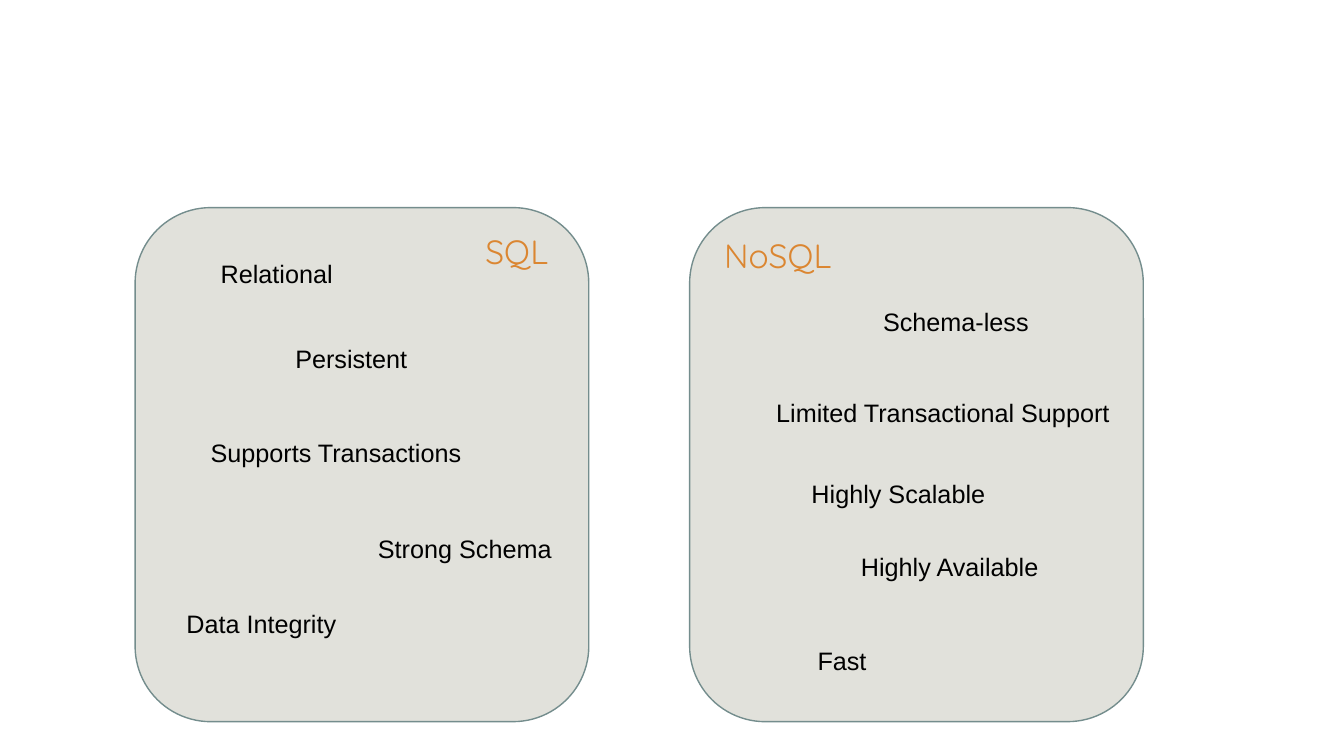
from pptx import Presentation
from pptx.dml.color import RGBColor
from pptx.enum.shapes import MSO_SHAPE
from pptx.enum.text import MSO_AUTO_SIZE, PP_ALIGN
from pptx.util import Pt

PX = 9144
COLORS = {"panel": "E1E1DB", "border": "748D8D", "heading": "DB8631", "text": "000000"}

PANEL_TOP, PANEL_W, PANEL_H = 206, 450, 510
HEADING_W, HEADING_H, ITEM_H = 205, 50, 40

PANELS = [
    (134, ("SQL", 276, 18), [
        ("Relational", 75, 45, 185),
        ("Persistent", 149, 130, 191),
        ("Supports Transactions", 65, 223, 293),
        ("Strong Schema", 231, 318, 204),
        ("Data Integrity", 41, 393, 290),
    ]),
    (684, ("NoSQL", -15, 22), [
        ("Schema-less", 182, 93, 170),
        ("Limited Transactional Support", 76, 183, 360),
        ("Highly Scalable", 111, 264, 289),
        ("Highly Available", 160, 336, 231),
        ("Fast", 117, 429, 349),
    ]),
]


def px(*lengths):
    return [n * PX for n in lengths]


def rgb(name):
    return RGBColor.from_string(COLORS[name])


def add_text(s, text, box, size=18, font="Arial", color="text", align=PP_ALIGN.LEFT):
    tf = s.shapes.add_textbox(*px(*box)).text_frame
    tf.word_wrap = True
    tf.auto_size = MSO_AUTO_SIZE.SHAPE_TO_FIT_TEXT
    p = tf.paragraphs[0]
    p.alignment = align
    r = p.add_run()
    r.text = text
    r.font.size = Pt(size)
    r.font.name = font
    r.font.color.rgb = rgb(color)


def add_panel(s, box, heading, items):
    x, y, w, h = box
    sp = s.shapes.add_shape(MSO_SHAPE.ROUNDED_RECTANGLE, *px(x, y, w, h))
    sp.shadow.inherit = False
    sp.fill.solid()
    sp.fill.fore_color.rgb = rgb("panel")
    sp.line.color.rgb = rgb("border")
    sp.line.width = Pt(1)
    title, dx, dy = heading
    add_text(s, title, (x + dx, y + dy, HEADING_W, HEADING_H), size=24,
             font="Quicksand", color="heading", align=PP_ALIGN.CENTER)
    for text, dx, dy, width in items:
        add_text(s, text, (x + dx, y + dy, width, ITEM_H))


def main():
    prs = Presentation()
    prs.slide_width, prs.slide_height = px(1333, 750)
    s = prs.slides.add_slide(prs.slide_layouts[6])
    for left, heading, items in PANELS:
        add_panel(s, (left, PANEL_TOP, PANEL_W, PANEL_H), heading, items)
    prs.save("out.pptx")


if __name__ == "__main__":
    main()
